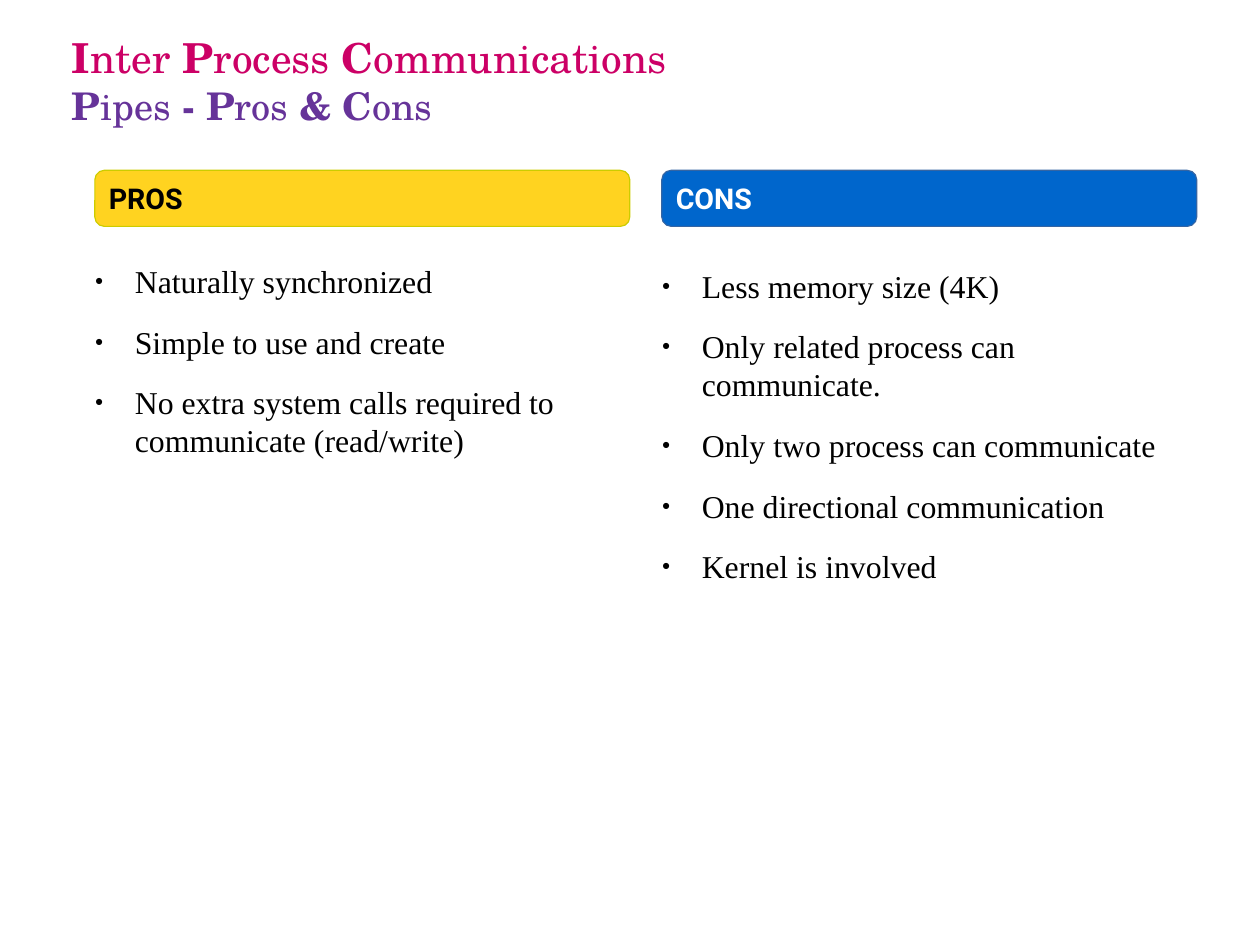
from lxml import etree
from pptx import Presentation
from pptx.dml.color import RGBColor
from pptx.enum.shapes import MSO_SHAPE
from pptx.enum.text import MSO_ANCHOR, PP_ALIGN
from pptx.oxml.ns import qn
from pptx.util import Cm, Inches, Pt

ROUNDED = MSO_SHAPE.ROUNDED_RECTANGLE
MIDDLE = MSO_ANCHOR.MIDDLE
LEFT = PP_ALIGN.LEFT

PINK = RGBColor(0xCC, 0x00, 0x66)
PURPLE = RGBColor(0x66, 0x33, 0x99)
YELLOW = RGBColor(0xFF, 0xD3, 0x20)
OLIVE = RGBColor(0xCC, 0xCC, 0x00)
BLUE = RGBColor(0x00, 0x66, 0xCC)
STEEL = RGBColor(0x34, 0x65, 0xA4)
BLACK = RGBColor(0x00, 0x00, 0x00)
WHITE = RGBColor(0xFF, 0xFF, 0xFF)

BODY_FONT = "Times New Roman"
COLUMN_LEFT, COLUMN_PITCH = 0.71, 4.96
BODY_WIDTH, BODY_BOTTOM = 4.84, 7.36
HEADER_INDENT, HEADER_TOP = 0.12, 1.49
HEADER_WIDTH, HEADER_HEIGHT = 4.68, 0.49

# Each title line alternates bold and regular pieces, starting with bold.
TITLE_LINES = [
    (26, PINK, ["I", "nter ", "P", "rocess ", "C", "ommunications"]),
    (24, PURPLE, ["P", "ipes", " - P", "ros", " & C", "ons"]),
]
COLUMNS = [
    ("PROS", YELLOW, OLIVE, BLACK, 2.29, [
        "Naturally synchronized",
        "Simple to use and create",
        "No extra system calls required to communicate (read/write)",
    ]),
    ("CONS", BLUE, STEEL, WHITE, 2.33, [
        "Less memory size (4K)",
        "Only related process can communicate.",
        "Only two process can communicate",
        "One directional communication",
        "Kernel is involved",
    ]),
]


def add_run(p, text, color, **font):
    r = p.add_run()
    r.text = text
    r.font.color.rgb = color
    for name, value in font.items():
        setattr(r.font, name, value)


def add_plain_box(left, top, width, height):
    """Add a wrapping text box without insets and return its text frame."""
    sp = slide.shapes.add_textbox(*map(Inches, (left, top, width, height)))
    tf = sp.text_frame
    tf.word_wrap = True
    for side in ("left", "top", "right", "bottom"):
        setattr(tf, f"margin_{side}", 0)
    return tf


prs = Presentation()
prs.slide_width, prs.slide_height = Cm(28), Cm(21)
slide = prs.slides.add_slide(prs.slide_layouts[6])

tf = add_plain_box(0.63, 0.01, 9.85, 1.38)
tf.vertical_anchor = MIDDLE
p = tf.paragraphs[0]
for line, (size, color, pieces) in enumerate(TITLE_LINES):
    if line:
        p.add_line_break()
    for i, piece in enumerate(pieces):
        add_run(p, piece, color, name="TeX Gyre Schola", size=Pt(size), bold=i % 2 == 0)

for col, (heading, fill, outline, ink, top, points) in enumerate(COLUMNS):
    left = COLUMN_LEFT + col * COLUMN_PITCH

    sp = slide.shapes.add_shape(ROUNDED, Inches(left + HEADER_INDENT), Inches(HEADER_TOP),
                                Inches(HEADER_WIDTH), Inches(HEADER_HEIGHT))
    sp.adjustments[0] = 0.167
    sp.shadow.inherit = False
    sp.fill.solid()
    sp.fill.fore_color.rgb = fill
    sp.line.color.rgb = outline
    sp.line.width = Pt(0)
    sp.text_frame.vertical_anchor = MIDDLE
    p = sp.text_frame.paragraphs[0]
    p.alignment = LEFT
    add_run(p, heading, ink, name="Roboto", size=Pt(18), bold=True)

    tf = add_plain_box(left, top, BODY_WIDTH, BODY_BOTTOM - top)
    for i, point in enumerate(points):
        p = tf.add_paragraph() if i else tf.paragraphs[0]
        p.space_after = Pt(14.2)
        pPr = p._p.get_or_add_pPr()
        pPr.set("marL", str(Inches(0.47)))
        pPr.set("indent", str(Inches(-0.35)))
        bullet_color = etree.SubElement(pPr, qn("a:buClr"))
        etree.SubElement(bullet_color, qn("a:srgbClr"), val=str(BLACK))
        etree.SubElement(pPr, qn("a:buSzPct"), val="45000")
        etree.SubElement(pPr, qn("a:buFont"), typeface=BODY_FONT)
        etree.SubElement(pPr, qn("a:buChar"), char="●")
        add_run(p, point, BLACK, name=BODY_FONT, size=Pt(20))

prs.save("out.pptx")
